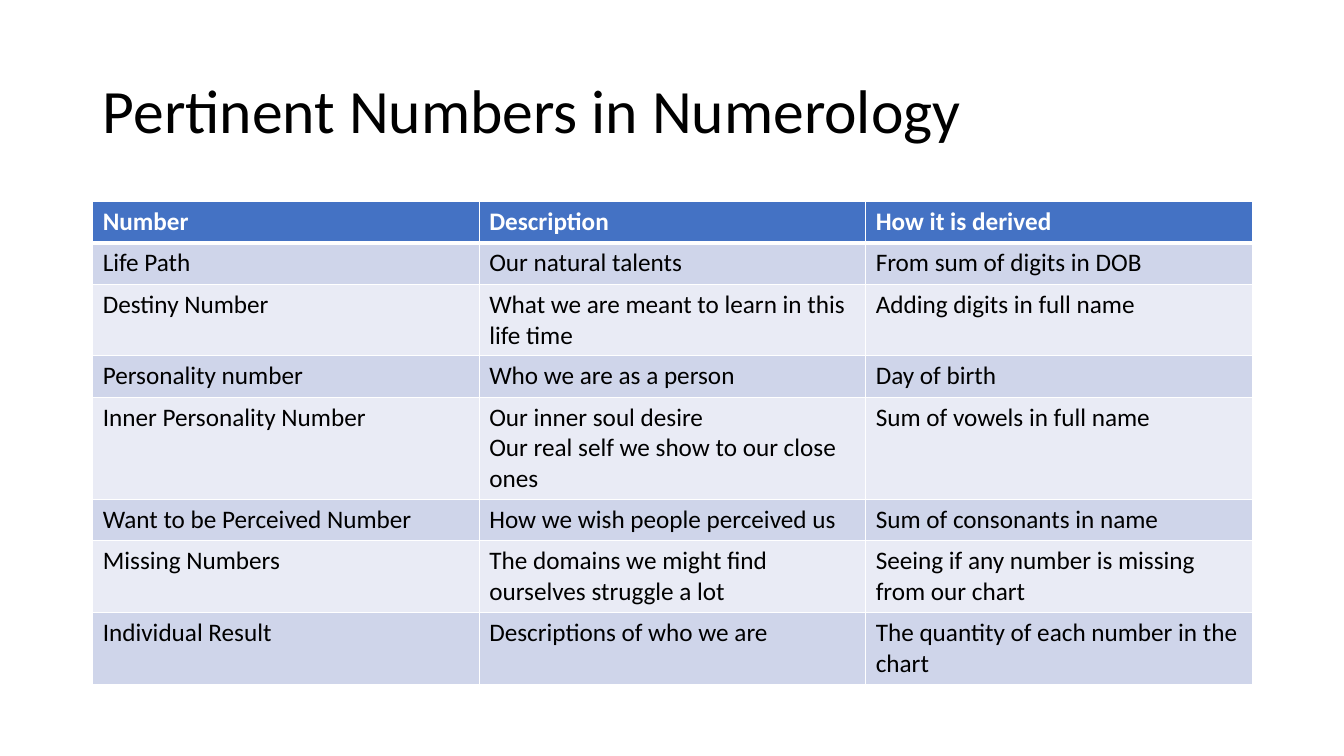
from lxml import etree
from pptx import Presentation
from pptx.dml.color import RGBColor
from pptx.enum.text import MSO_ANCHOR, PP_ALIGN
from pptx.oxml.ns import qn
from pptx.util import Inches, Pt

MIDDLE = MSO_ANCHOR.MIDDLE
LEFT = PP_ALIGN.LEFT
TITLE_ONLY = 5

FONT = "Calibri"
BLACK, WHITE = "000000", "FFFFFF"
HEADER_FILL = "4472C4"
BAND_FILLS = ("CFD5EA", "E9EBF5")
ROW_HEIGHT = 0.41
THIN, THICK = 1, 3

HEADINGS = ("Number", "Description", "How it is derived")
# Each line of a cell is a paragraph of its own
NUMBERS = (
    ("Life Path", "Our natural talents", "From sum of digits in DOB"),
    ("Destiny Number", "What we are meant to learn in this life time",
     "Adding digits in full name"),
    ("Personality number", "Who we are as a person", "Day of birth"),
    ("Inner Personality Number",
     "Our inner soul desire\nOur real self we show to our close ones",
     "Sum of vowels in full name"),
    ("Want to be Perceived Number", "How we wish people perceived us",
     "Sum of consonants in name"),
    ("Missing Numbers", "The domains we might find ourselves struggle a lot",
     "Seeing if any number is missing from our chart"),
    ("Individual Result", "Descriptions of who we are",
     "The quantity of each number in the chart"),
)


def color(value):
    return RGBColor.from_string(value)


def write(frame, text, size, text_color, bold=False, spacing=None):
    for index, line in enumerate(text.split("\n")):
        para = frame.add_paragraph() if index else frame.paragraphs[0]
        para.alignment = LEFT
        if spacing:
            para.line_spacing = spacing
        span = para.add_run()
        span.text = line
        span.font.name = FONT
        span.font.size = Pt(size)
        span.font.bold = bold
        span.font.color.rgb = color(text_color)


def add_borders(cell, top, bottom):
    """Draw white edges; the schema wants them ahead of the cell fill."""
    properties = cell._tc.get_or_add_tcPr()
    for tag, width in (("lnL", THIN), ("lnR", THIN), ("lnT", top), ("lnB", bottom)):
        line = etree.SubElement(properties, qn(f"a:{tag}"), w=str(Pt(width)))
        fill = etree.SubElement(line, qn("a:solidFill"))
        etree.SubElement(fill, qn("a:srgbClr"), val=WHITE)


def add_title(page, left, top, width, height):
    title = page.shapes.title
    title.left, title.top = Inches(left), Inches(top)
    title.width, title.height = Inches(width), Inches(height)
    title.text_frame.vertical_anchor = MIDDLE
    title.text_frame.word_wrap = True
    write(title.text_frame, "Pertinent Numbers in Numerology", 44, BLACK, spacing=0.9)


def add_number_table(page, left, top, width):
    rows = (HEADINGS,) + NUMBERS
    table = page.shapes.add_table(
        len(rows), len(HEADINGS), Inches(left), Inches(top),
        Inches(width), Inches(ROW_HEIGHT * len(rows))).table
    for column in table.columns:
        column.width = Inches(width / len(HEADINGS))

    for row_index, texts in enumerate(rows):
        table.rows[row_index].height = Inches(ROW_HEIGHT)
        is_header = row_index == 0
        fill = HEADER_FILL if is_header else BAND_FILLS[(row_index - 1) % 2]
        for column_index, text in enumerate(texts):
            cell = table.cell(row_index, column_index)
            # The thick rule is shared by the header and the first row
            add_borders(cell, THICK if row_index == 1 else THIN,
                        THICK if is_header else THIN)
            cell.fill.solid()
            cell.fill.fore_color.rgb = color(fill)
            write(cell.text_frame, text, 18, WHITE if is_header else BLACK, is_header)


def main():
    deck = Presentation()
    deck.slide_width, deck.slide_height = Inches(13.33), Inches(7.5)
    page = deck.slides.add_slide(deck.slide_layouts[TITLE_ONLY])
    page.background.fill.solid()
    page.background.fill.fore_color.rgb = color(WHITE)
    add_title(page, 0.92, 0.4, 11.5, 1.45)
    add_number_table(page, 0.92, 2, 11.5)
    deck.save("out.pptx")


if __name__ == "__main__":
    main()
